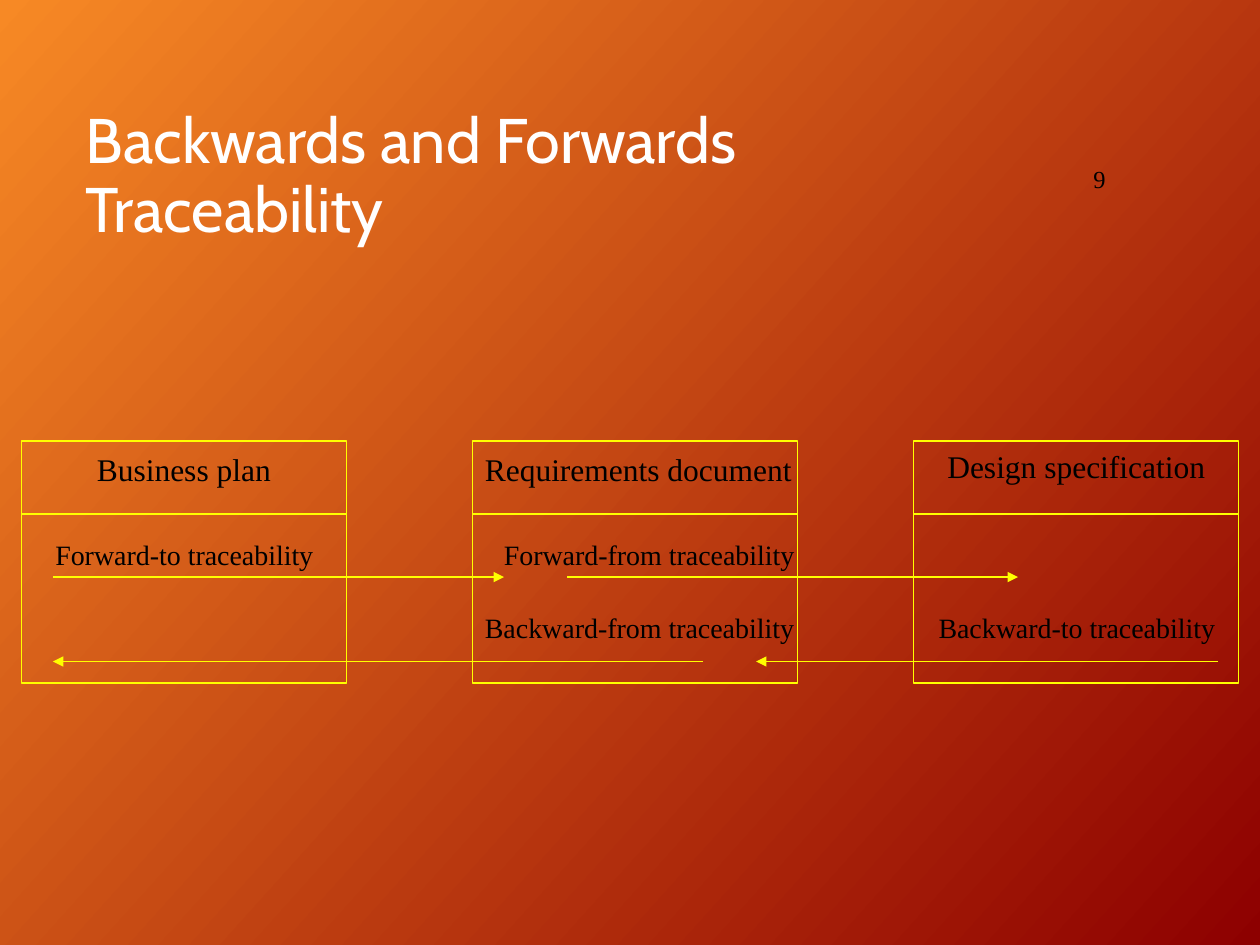
from lxml.etree import SubElement as Sub
from pptx import Presentation
from pptx.dml.color import RGBColor
from pptx.enum.shapes import MSO_CONNECTOR as Link, MSO_SHAPE as Shape
from pptx.enum.text import MSO_ANCHOR as Anchor, MSO_AUTO_SIZE as Fit, PP_ALIGN as Align
from pptx.oxml.ns import qn
from pptx.util import Inches, Pt

WHITE = RGBColor(0xFF, 0xFF, 0xFF)
BLACK = RGBColor(0, 0, 0)
YELLOW = RGBColor(0xFF, 0xFF, 0)
ORANGE = RGBColor(0xF7, 0x89, 0x25)
MAROON = RGBColor(0x8D, 0, 0)
SERIF = "Times New Roman"

TITLE = "Backwards and Forwards Traceability"
NUMBER = "9"
COLS = [0.17, 3.75, 7.25]
TOP, WIDE, HIGH, HEAD = 3.5, 2.58, 1.92, 0.58
ROWS = [4.58, 5.25]
LABELS = [
    ("Business plan", 0.67, 3.52, 1.58, 18),
    ("Requirements document", 3.75, 3.52, 2.63, 18),
    ("Design specification", 7.42, 3.5, 2.25, 18),
    ("Forward-to traceability", 0.34, 4.22, 2.25, 16),
    ("Forward-from traceability", 3.9, 4.22, 2.51, 16),
    ("Backward-from traceability", 3.75, 4.8, 2.65, 16),
    ("Backward-to traceability", 7.35, 4.8, 2.39, 16),
]
ARROWS = [
    (0.42, 4, 0, "tailEnd"),
    (4.5, 8.08, 0, "tailEnd"),
    (6, 9.67, 1, "headEnd"),
    (0.42, 5.58, 1, "headEnd"),
]


def style(frame, size, face, color):
    para = frame.paragraphs[0]
    para.alignment = Align.LEFT
    font = para.runs[0].font
    font.size, font.name, font.color.rgb = Pt(size), face, color
    return para


def label(slide, text, x, y, w, h, size):
    frame = slide.shapes.add_textbox(*map(Inches, (x, y, w, h))).text_frame
    frame.text = text
    style(frame, size, SERIF, BLACK)
    return frame


def rule(shapes, x, end, y, width, tip=None):
    line = shapes.add_connector(Link.STRAIGHT, *map(Inches, (x, y, end, y)))
    line.line.color.rgb = YELLOW
    line.line.width = Pt(width)
    props = line._element.spPr
    if tip:
        Sub(props.find(qn("a:ln")), qn("a:" + tip), type="triangle")
    Sub(props, qn("a:effectLst"))


def card(slide, x):
    parts = slide.shapes.add_group_shape().shapes
    box = parts.add_shape(Shape.RECTANGLE, *map(Inches, (x, TOP, WIDE, HIGH)))
    box.shadow.inherit = False
    box.fill.background()
    box.line.color.rgb = YELLOW
    box.line.width = Pt(0.75)
    rule(parts, x, x + WIDE, TOP + HEAD, 0.75)


def main():
    """Build the traceability slide."""
    deck = Presentation()
    deck.slide_width, deck.slide_height = Inches(10), Inches(7.5)
    slide = deck.slides.add_slide(deck.slide_layouts[5])

    fill = slide.background.fill
    fill.gradient()
    fill.gradient_angle = 360 - 42
    for stop, color in zip(fill.gradient_stops, (ORANGE, MAROON)):
        stop.color.rgb = color

    title = slide.shapes.title
    title.left, title.top, title.width, title.height = map(Inches, (0.58, 0.82, 7.54, 1.18))
    frame = title.text_frame
    frame.text = TITLE
    frame.auto_size = Fit.NONE
    frame.vertical_anchor = Anchor.MIDDLE
    style(frame, 36, "Cabin", WHITE).line_spacing = 0.9

    frame = label(slide, NUMBER, 8.58, 0.82, 1.27, 1.19, 14)
    frame.word_wrap = True
    frame.vertical_anchor = Anchor.MIDDLE

    for x in COLS:
        card(slide, x)
    for text, x, y, w, size in LABELS:
        frame = label(slide, text, x, y, w, 0.4 if size == 18 else 0.37, size)
        frame.margin_right = Inches(0.05)
        frame.word_wrap = False
        frame.auto_size = Fit.SHAPE_TO_FIT_TEXT
    for x, end, row, tip in ARROWS:
        rule(slide.shapes, x, end, ROWS[row], 1, tip)

    deck.save("out.pptx")


if __name__ == "__main__":
    main()
